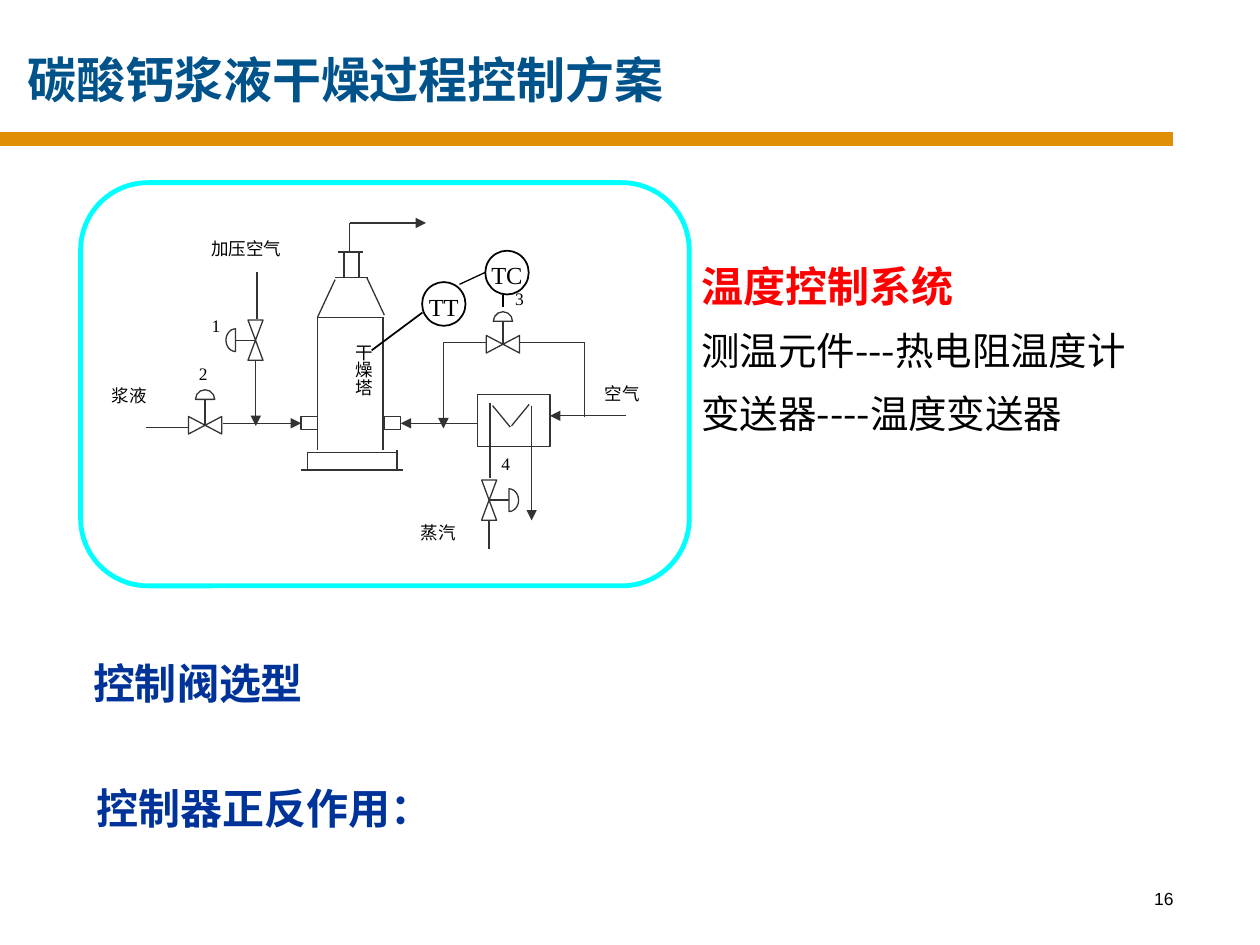
from math import cos, radians, sin

from lxml.etree import SubElement
from pptx import Presentation
from pptx.dml.color import RGBColor
from pptx.enum.shapes import MSO_CONNECTOR, MSO_SHAPE as Shape
from pptx.enum.text import MSO_ANCHOR as Anchor, PP_ALIGN as Align
from pptx.oxml.ns import qn
from pptx.util import Pt

COLORS = {
    "white": "FFFFFF", "black": "000000", "pipe": "333333", "frame": "00FFFF",
    "bar": "DF8E05", "title": "00528B", "heading": "003399", "accent": "FF0000",
}
SERIF = "Times New Roman"
SANS = "Arial"
CJK = "Noto Sans CJK SC"

# left, top, width, height, text
LABELS = [
    (113.8, 132.5, 72.7, 38.9, "加压空气"),
    (56.9, 216.7, 45.4, 25.9, "浆液"),
    (338.4, 215.3, 72.7, 47.5, "空气"),
    (233.3, 294.5, 58.3, 47.5, "蒸汽"),
    (113.8, 176.4, 58.3, 47.5, "1"),
    (106.6, 203.8, 23.8, 36.7, "2"),
    (287.3, 161.3, 28.1, 31, "3"),
    (279.4, 255.6, 58.3, 47.5, "4"),
]
# x1, y1, x2, y2
TOWER_LINES = [
    (175.7, 268.6, 175.7, 258.5), (226.8, 268.6, 226.8, 257),
    (172.1, 268.6, 230.4, 268.6), (175.7, 258.5, 226.8, 258.5),
    (181.4, 257, 181.4, 181.4), (218.9, 257, 218.9, 181.4),
    (181.4, 181.4, 219.6, 181.4), (191.5, 158.4, 210.2, 158.4),
    (191.5, 159.8, 181.4, 181.4), (219.6, 180, 209.5, 158.4),
    (193, 144, 207.4, 144), (196.6, 144, 196.6, 158.4),
    (205.2, 144, 205.2, 158.4),
]
PIPE_LINES = [
    (199.8, 143.3, 199.8, 127.4), (107.3, 244.1, 83.5, 244.1),
    (253.4, 195.8, 278, 195.8), (297.4, 195.8, 334.1, 195.8),
    (334.1, 195.8, 334.1, 238.3), (146.9, 182.2, 146.9, 155.5),
    (279.4, 313.9, 279.4, 297.4), (280, 272.9, 280, 230.4),
    (281.5, 231.8, 291.6, 244.1), (292.3, 243.4, 302.4, 231.1),
]
PIPE_ARROWS = [
    (199.8, 127.4, 243.4, 127.4), (357.8, 237.6, 314.3, 237.6),
    (253.4, 195.8, 253.4, 244.8), (146.2, 205.9, 146.2, 243.4),
    (303.8, 231.8, 303.8, 297.4),
]
# centre x, centre y, actuator direction in degrees, actuator distance
VALVES = [
    (146, 194.4, 180, 11.4), (117.2, 243, 270, 14.8),
    (287.4, 196.7, 270, 13.1), (279.5, 285.8, 0, 11.4),
]


def rgb(name):
    return RGBColor.from_string(COLORS[name])


def add_shape(slide, kind, box, line="pipe", width=0.75, fill=None):
    shape = slide.shapes.add_shape(kind, *map(Pt, box))
    shape.shadow.inherit = False
    if fill:
        shape.fill.solid()
        shape.fill.fore_color.rgb = rgb(fill)
    else:
        shape.fill.background()
    shape.line.color.rgb = rgb(line)
    shape.line.width = Pt(width)
    return shape


def add_line(slide, ends, color="pipe", width=0.75, arrow=False):
    line = slide.shapes.add_connector(MSO_CONNECTOR.STRAIGHT, *map(Pt, ends))
    line.line.color.rgb = rgb(color)
    line.line.width = Pt(width)
    properties = line._element.spPr
    if arrow:
        SubElement(properties.find(qn("a:ln")), qn("a:tailEnd"), type="triangle")
    SubElement(properties, qn("a:effectLst"))
    return line


def style(paragraph, text, size, font, color, bold=False):
    paragraph.text = text
    paragraph.font.size = Pt(size)
    paragraph.font.name = font
    paragraph.font.bold = bold
    paragraph.font.color.rgb = rgb(color)


def add_text(slide, box, text, size, font, color="black", bold=False, align=Align.LEFT):
    shape = slide.shapes.add_textbox(*map(Pt, box))
    frame = shape.text_frame
    frame.word_wrap = True
    paragraph = frame.paragraphs[0]
    style(paragraph, text, size, font, color, bold)
    paragraph.alignment = align
    return frame


def add_centred(slide, kind, x, y, width, height, rotation):
    box = (x - width / 2, y - height / 2, width, height)
    shape = add_shape(slide, kind, box, fill="white")
    shape.rotation = rotation
    return shape


def add_valve(slide, x, y, angle, distance):
    """Two triangles meeting at (x, y) and a domed actuator towards angle."""
    across, along = cos(radians(angle)), sin(radians(angle))
    upright = angle in (0, 180)
    length, width, dome_width = (11.5, 8.6, 13) if upright else (9.5, 10, 11)
    for side in (1, -1):
        add_centred(slide, Shape.ISOSCELES_TRIANGLE,
                    x + side * along * length / 2, y + side * across * length / 2,
                    width, length,
                    (0 if side * across > 0 else 180) if upright
                    else (270 if side * along > 0 else 90))
    flat_x, flat_y = x + across * distance, y + along * distance
    add_line(slide, (x, y, flat_x, flat_y))
    dome = add_centred(slide, Shape.CHORD, flat_x, flat_y, 11, dome_width, angle)
    dome.adjustments[0], dome.adjustments[1] = 162, 54


def add_instrument(slide, left, top, text):
    circle = add_shape(slide, Shape.OVAL, (left, top, 24.8, 25), "black", 1)
    frame = circle.text_frame
    frame.word_wrap = False
    frame.margin_left = frame.margin_right = frame.margin_bottom = 0
    frame.margin_top = Pt(3)
    frame.vertical_anchor = Anchor.MIDDLE
    style(frame.paragraphs[0], text, 14, SERIF, "black")
    frame.paragraphs[0].alignment = Align.CENTER


def add_diagram(slide):
    frame = add_shape(slide, Shape.ROUNDED_RECTANGLE, (46.1, 104.4, 347.8, 230.4),
                      "frame", 2.75, "white")
    frame.adjustments[0] = 0.167
    for ends in TOWER_LINES + PIPE_LINES:
        add_line(slide, ends)
    for ends in PIPE_ARROWS:
        add_line(slide, ends, arrow=True)
    add_shape(slide, Shape.RECTANGLE, (272.7, 225.4, 41.6, 29.6))
    for left, start, site in ((172.1, 127.4, 1), (219.6, 272.7, 3)):
        nozzle = add_shape(slide, Shape.RECTANGLE, (left, 238.2, 9.4, 7.4), fill="white")
        feed = add_line(slide, (start, 241.9, left, 241.9), arrow=True)
        feed.end_connect(nozzle, site)
    for valve in VALVES:
        add_valve(slide, *valve)
    for *box, text in LABELS:
        add_text(slide, box, text, 10, SERIF)

    tower_name = add_text(slide, (181.4, 189.4, 36, 77), "干燥塔", 10, SERIF)
    tower_name._txBody.bodyPr.set("vert", "eaVert")
    tower_name.margin_left = tower_name.margin_right = Pt(3.6)
    tower_name.margin_top = tower_name.margin_bottom = Pt(7.2)

    add_line(slide, (212.4, 200.2, 241.4, 178.6), "black", 1)
    add_line(slide, (287.3, 168.3, 287.3, 175.5), "black", 1)
    add_line(slide, (262.6, 162.5, 277.2, 155.7), "black")
    add_instrument(slide, 241.2, 161.2, "TT")
    add_instrument(slide, 277.3, 143.3, "TC")


def add_description(slide):
    frame = add_text(slide, (393.8, 135.4, 312.5, 117.4), "温度控制系统",
                     24, CJK, "accent", True)
    frame.vertical_anchor = Anchor.MIDDLE
    for text in ("测温元件---热电阻温度计", "变送器----温度变送器"):
        style(frame.add_paragraph(), text, 22, CJK, "black")
    for paragraph in frame.paragraphs:
        paragraph.line_spacing = 1.35


def main():
    presentation = Presentation()
    presentation.slide_width, presentation.slide_height = Pt(720), Pt(540)
    slide = presentation.slides.add_slide(presentation.slide_layouts[6])
    add_line(slide, (0, 79.4, 670.3, 79.4), "bar", 8)
    add_text(slide, (527.8, 504, 149.8, 36), "16", 10, SANS, align=Align.RIGHT)
    add_text(slide, (8.6, 24.5, 635, 41), "碳酸钙浆液干燥过程控制方案",
             28, SANS, "title", True)
    add_diagram(slide)
    add_description(slide)
    add_text(slide, (46.1, 372.2, 244, 36), "控制阀选型", 24, SANS, "heading", True)
    add_text(slide, (48.2, 443.5, 244, 36), "控制器正反作用：", 24, SANS, "heading", True)
    presentation.save("out.pptx")


if __name__ == "__main__":
    main()
